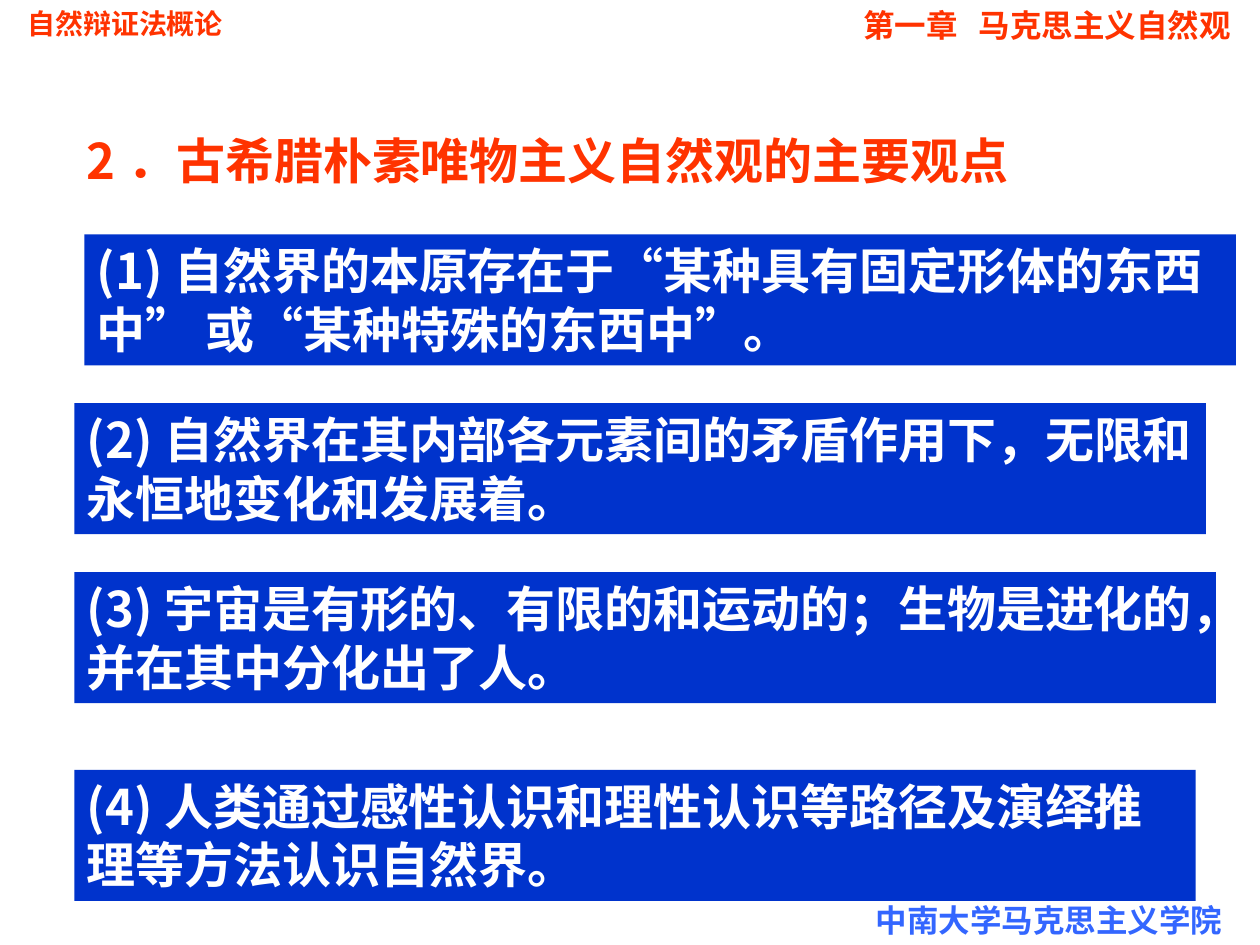
from lxml import etree
from pptx import Presentation
from pptx import util as u
from pptx.dml.color import RGBColor
from pptx.enum import shapes, text
from pptx.oxml import ns

COLORS = {"red": "FF3300", "link_blue": "3366FF", "panel": "0033CC", "white": "FFFFFF"}
LATIN, CHINESE = "Arial", "Noto Sans CJK SC"


class LectureSlide:
    """Holds the current slide and the shared text style."""

    def __init__(self, page):
        self.page = page

    def color(self, name):
        return RGBColor.from_string(COLORS[name])

    def add_words(self, box, words, size, color, font, indent=0.1, tab=None):
        frame = box.text_frame
        frame.word_wrap = True
        frame.auto_size = text.MSO_AUTO_SIZE.SHAPE_TO_FIT_TEXT
        frame.vertical_anchor = text.MSO_ANCHOR.TOP
        frame.margin_left = u.Inches(indent)
        para = frame.paragraphs[0]
        para.alignment = text.PP_ALIGN.LEFT
        if tab:
            stops = etree.SubElement(para._p.get_or_add_pPr(), ns.qn("a:tabLst"))
            etree.SubElement(stops, ns.qn("a:tab"), pos=str(u.Inches(tab)), algn="l")
        span = para.add_run()
        span.text = words
        span.font.size = u.Pt(size)
        span.font.bold = True
        span.font.color.rgb = self.color(color)
        span.font.name = font
        etree.SubElement(span.font._element, ns.qn("a:ea"), typeface=CHINESE)

    def label(self, place, words, size, color, font=LATIN, **layout):
        box = self.page.shapes.add_textbox(*map(u.Inches, place))
        self.add_words(box, words, size, color, font, **layout)

    def panel(self, place, words):
        box = self.page.shapes.add_shape(shapes.MSO_SHAPE.RECTANGLE, *map(u.Inches, place))
        box.shadow.inherit = False
        box.fill.solid()
        box.fill.fore_color.rgb = self.color("panel")
        box.line.fill.background()
        self.add_words(box, words, 28, "white", CHINESE)


def main():
    deck = Presentation()
    deck.slide_width, deck.slide_height = u.Inches(10), u.Inches(7.5)
    slide = LectureSlide(deck.slides.add_slide(deck.slide_layouts[6]))

    # Course, school and chapter labels
    slide.label((0.12, 0, 3.78, 0.37), "自然辩证法概论", 16, "red")
    slide.label((6.85, 7.1, 3.15, 0.4), "中南大学马克思主义学院", 18, "link_blue")
    slide.label((6.34, 0, 3.66, 0.4), "第一章\t马克思主义自然观", 18, "red",
                indent=0.51, tab=0.92)

    # Section title
    slide.label((0.59, 0.99, 8.58, 0.57), "2．古希腊朴素唯物主义自然观的主要观点",
                28, "red", CHINESE)

    # Main viewpoints: left, top, width, wording
    viewpoints = [
        (0.67, 1.86, 9.14, "自然界的本原存在于“某种具有固定形体的东西中” 或“某种特殊的东西中”。"),
        (0.59, 3.2, 8.98, "自然界在其内部各元素间的矛盾作用下，无限和永恒地变化和发展着。"),
        (0.59, 4.54, 9.06, "宇宙是有形的、有限的和运动的；生物是进化的，并在其中分化出了人。"),
        (0.59, 6.11, 8.9, "人类通过感性认识和理性认识等路径及演绎推理等方法认识自然界。"),
    ]
    for number, (left, top, width, words) in enumerate(viewpoints, 1):
        slide.panel((left, top, width, 1.04), f"({number}){words}")

    deck.save("out.pptx")


if __name__ == "__main__":
    main()
